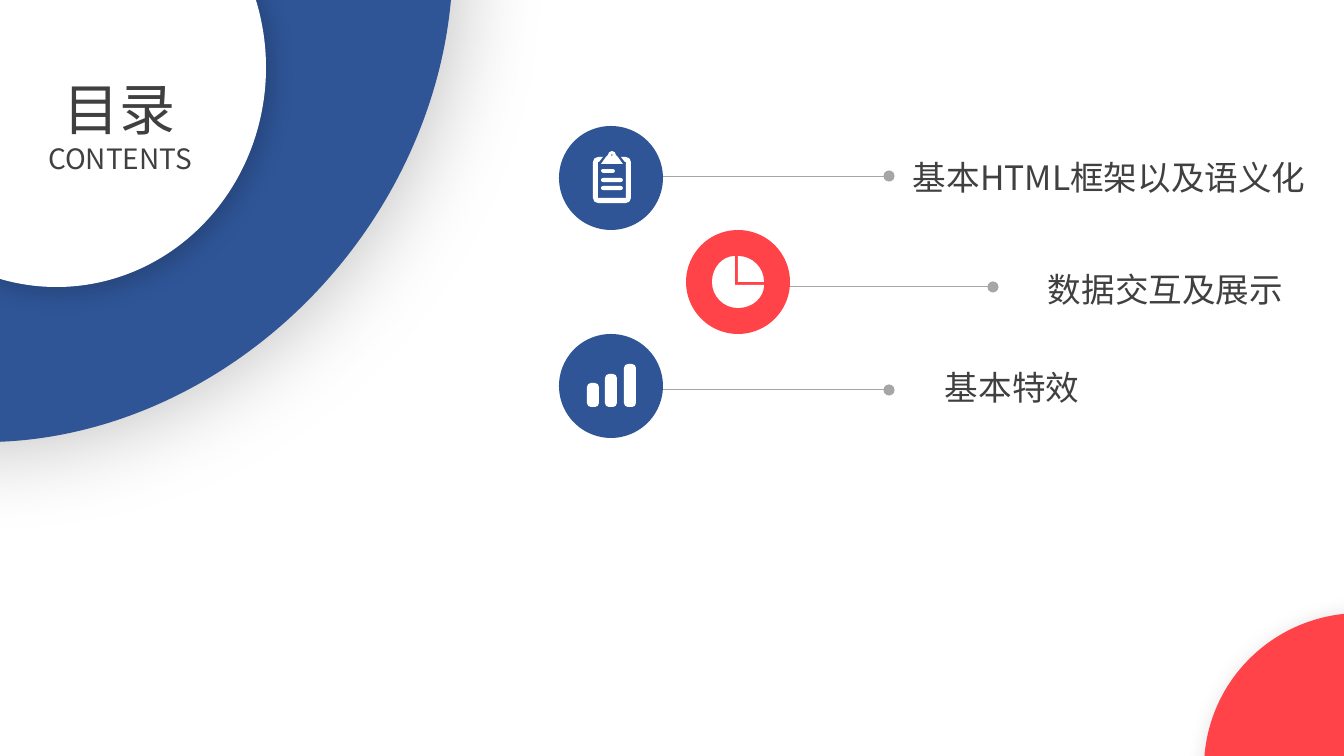
from dataclasses import dataclass

from lxml import etree
from pptx import Presentation
from pptx.dml.color import RGBColor
from pptx.enum.shapes import MSO_CONNECTOR, MSO_SHAPE
from pptx.enum.text import MSO_ANCHOR, PP_ALIGN
from pptx.oxml.ns import qn
from pptx.util import Emu, Pt

ELLIPSE = MSO_SHAPE.OVAL
STRAIGHT = MSO_CONNECTOR.STRAIGHT
MIDDLE = MSO_ANCHOR.MIDDLE
LEFT, CENTER = PP_ALIGN.LEFT, PP_ALIGN.CENTER

EMU_PER_PX = 914400 / 134.4
BADGE_SIZE = 104
LEADER_LENGTH = 229
LABEL_HEIGHT = 40
QUARTER_ARC = 0.55


@dataclass(frozen=True)
class Theme:
    font: str = "Noto Sans CJK SC"
    blue: str = "2F5597"
    red: str = "FF4349"
    white: str = "FFFFFF"
    gray: str = "A6A6A6"
    text: str = "404040"
    shadow: str = "000000"
    title_size: int = 30
    subtitle_size: int = 15
    label_size: int = 18
    line_width: float = 0.5


@dataclass(frozen=True)
class Point:
    x: int
    y: int
    corner: tuple = ()


THEME = Theme()


def px(value):
    return Emu(round(value * EMU_PER_PX))


def paint(shape, color):
    shape.shadow.inherit = False
    shape.fill.solid()
    shape.fill.fore_color.rgb = RGBColor.from_string(color)
    shape.line.fill.background()


def add_ellipse(shapes, box, color):
    shape = shapes.add_shape(ELLIPSE, *map(px, box))
    paint(shape, color)
    return shape


def add_shadow(shape, opacity, blur, distance):
    effects = shape._element.spPr.find(qn("a:effectLst"))
    outer = etree.SubElement(
        effects, qn("a:outerShdw"), blurRad=str(Pt(blur)), dist=str(Pt(distance)),
        dir="2700000", algn="ctr", rotWithShape="0")
    color = etree.SubElement(outer, qn("a:srgbClr"), val=THEME.shadow)
    etree.SubElement(color, qn("a:alpha"), val=str(opacity * 1000))


def add_leader(shapes, left, top):
    leader = shapes.add_connector(
        STRAIGHT, px(left), px(top), px(left + LEADER_LENGTH), px(top))
    leader.line.color.rgb = RGBColor.from_string(THEME.gray)
    leader.line.width = Pt(THEME.line_width)
    etree.SubElement(leader.line._get_or_add_ln(), qn("a:tailEnd"), type="oval")
    etree.SubElement(leader._element.spPr, qn("a:effectLst"))


def add_text(shapes, box, lines, alignment):
    frame = shapes.add_textbox(*map(px, box)).text_frame
    frame.word_wrap = True
    frame.vertical_anchor = MIDDLE
    frame.margin_left = frame.margin_right = frame.margin_top = frame.margin_bottom = 0
    for index, (text, size) in enumerate(lines):
        paragraph = frame.add_paragraph() if index else frame.paragraphs[0]
        paragraph.text = text
        paragraph.alignment = alignment
        paragraph.font.size = Pt(size)
        paragraph.font.name = THEME.font
        paragraph.font.color.rgb = RGBColor.from_string(THEME.text)
        defaults = paragraph._p.pPr.find(qn("a:defRPr"))
        etree.SubElement(defaults, qn("a:ea"), typeface=THEME.font)


def rounded_box(left, top, right, bottom, radius):
    return [Point(left + radius, top), Point(right - radius, top),
            Point(right, top + radius, (right, top)), Point(right, bottom - radius),
            Point(right - radius, bottom, (right, bottom)), Point(left + radius, bottom),
            Point(left, bottom - radius, (left, bottom)), Point(left, top + radius),
            Point(left + radius, top, (left, top))]


def clipboard_icon():
    outline = rounded_box(593, 157, 631, 203, 5)
    board = [Point(621, 157), *outline[1:], Point(603, 157), Point(599, 162),
             Point(598, 162), Point(598, 198), Point(626, 198), Point(626, 162),
             Point(625, 162)]
    clip = [Point(601, 164), Point(606, 157), Point(608, 155),
            Point(612, 151, (608, 151)), Point(616, 155, (616, 151)),
            Point(618, 157), Point(623, 164)]
    hole = [Point(611, 155), Point(612, 154, (611, 154)), Point(613, 155, (613, 154)),
            Point(612, 156, (613, 156)), Point(611, 155, (611, 156))]
    rows = [rounded_box(601, top, right, top + 4, 2)
            for top, right in [(169, 615), (178, 623), (186, 623)]]
    return [board, clip, hole, *rows]


def pie_icon():
    body = [Point(735, 256), Point(735, 285), Point(764, 285),
            Point(738, 308, (764, 308)), Point(712, 282, (712, 308)),
            Point(735, 256, (712, 256))]
    wedge = [Point(738, 256), Point(764, 282, (764, 256)), Point(738, 282)]
    return [body, wedge]


def bars_icon():
    return [rounded_box(left, top, left + 12, 407, 4)
            for left, top in [(587, 383), (605, 374), (624, 364)]]


def bend(line, shape, start, end):
    curve = etree.Element(qn("a:cubicBezTo"))
    for point in (start, end):
        x = point.x + QUARTER_ARC * (end.corner[0] - point.x)
        y = point.y + QUARTER_ARC * (end.corner[1] - point.y)
        etree.SubElement(curve, qn("a:pt"),
                         x=str(px(x) - shape.left), y=str(px(y) - shape.top))
    curve.append(line[0])
    line.getparent().replace(line, curve)


def add_icon(shapes, contours):
    first = contours[0][0]
    builder = shapes.build_freeform(px(first.x), px(first.y))
    for index, contour in enumerate(contours):
        points = [(px(point.x), px(point.y)) for point in contour]
        if index:
            builder.move_to(*points[0])
        builder.add_line_segments(points[1:], close=True)
    shape = builder.convert_to_shape()
    paint(shape, THEME.white)
    lines = list(shape._element.iter(qn("a:lnTo")))
    sides = [side for contour in contours for side in zip(contour, contour[1:])]
    for line, (start, end) in zip(lines, sides):
        if end.corner:
            bend(line, shape, start, end)


def add_badge(shapes, left, top, color, contours):
    group = shapes.add_group_shape()
    add_ellipse(group.shapes, (left, top, BADGE_SIZE, BADGE_SIZE), color)
    add_icon(group.shapes, contours)


def main():
    presentation = Presentation()
    presentation.slide_width, presentation.slide_height = px(1344), px(756)
    slide = presentation.slides.add_slide(presentation.slide_layouts[6])
    shapes = slide.shapes

    ring = add_ellipse(shapes, (-351, -430, 780, 894), THEME.blue)
    ring.rotation = 39.2
    add_shadow(ring, 27, 53, 0)

    for left, top in [(660, 176), (764, 287), (660, 390)]:
        add_leader(shapes, left, top)

    badges = [(559, THEME.blue, clipboard_icon()), (686, THEME.red, pie_icon()),
              (559, THEME.blue, bars_icon())]
    for row, (left, color, contours) in enumerate(badges):
        add_badge(shapes, left, 126 + row * BADGE_SIZE, color, contours)

    labels = [("基本HTML框架以及语义化", 913, 157, 398), ("数据交互及展示", 1048, 269, 236),
              ("基本特效", 945, 367, 135)]
    for text, left, top, width in labels:
        add_text(shapes, (left, top, width, LABEL_HEIGHT), [(text, THEME.label_size)], LEFT)

    center = add_ellipse(shapes, (-153, -152, 419, 439), THEME.white)
    add_shadow(center, 20, 13, 4)
    add_text(shapes, (45, 74, 150, 102),
             [("目录", THEME.title_size), ("CONTENTS", THEME.subtitle_size)], CENTER)

    corner = add_ellipse(shapes, (1204, 613, 313, 310), THEME.red)
    add_shadow(corner, 20, 13, 4)

    presentation.save("out.pptx")


if __name__ == "__main__":
    main()
